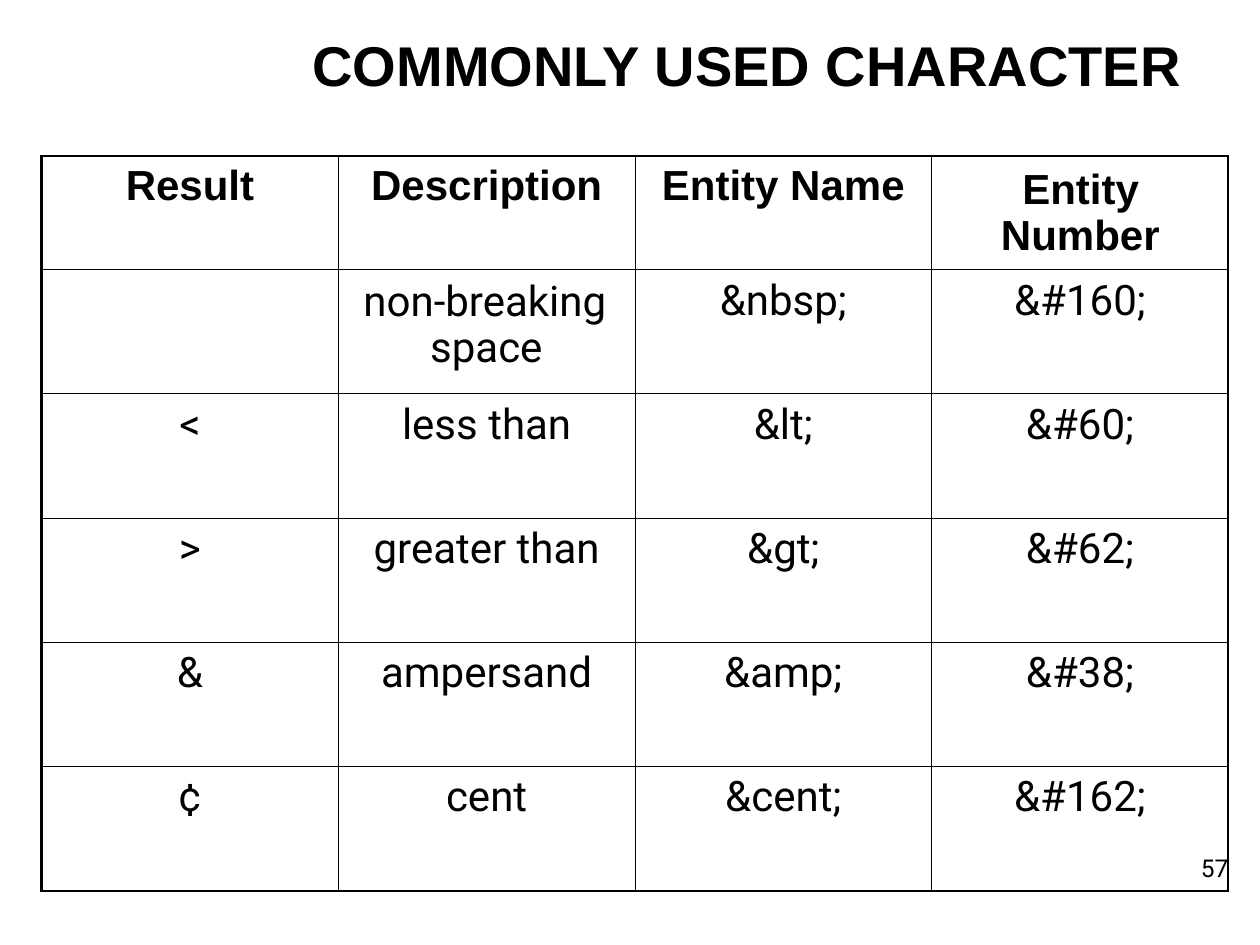
from dataclasses import dataclass

from lxml.etree import SubElement
from pptx import Presentation
from pptx.dml.color import RGBColor
from pptx.enum.text import MSO_ANCHOR as Anchor, MSO_AUTO_SIZE as AutoSize, PP_ALIGN as Align
from pptx.oxml.ns import qn
from pptx.util import Inches, Pt

INK = "000000"
SLIDE_COLUMNS, SLIDE_ROWS = 100, 75
HEADINGS = ("Result", "Description", "Entity Name", "Entity Number")


@dataclass(frozen=True)
class Entity:
    """One character with its HTML spellings."""
    result: str
    description: str
    name: str
    number: str


@dataclass(frozen=True)
class Wrap:
    """Indents, in grid units, that break a phrase over two lines."""
    left: float
    first: float


ENTITIES = (
    Entity("", "non-breaking space", "&nbsp;", "&#160;"),
    Entity("<", "less than", "&lt;", "&#60;"),
    Entity(">", "greater than", "&gt;", "&#62;"),
    Entity("&", "ampersand", "&amp;", "&#38;"),
    Entity("¢", "cent", "&cent;", "&#162;"),
)
WRAPS = {"Entity Number": Wrap(5.5, 1.7), "non-breaking space": Wrap(7.3, -5.3)}


def grid(units: float) -> int:
    """Turn grid units into a length."""
    return Inches(10 / SLIDE_COLUMNS * units)


def colour(value: str) -> RGBColor:
    """Turn a hex string into a colour."""
    return RGBColor.from_string(value)


def style(paragraph, face: str, size: float, before: float, align: Align, bold: bool = False) -> None:
    """Format a whole paragraph."""
    paragraph.alignment = align
    paragraph.space_before = Pt(before)
    font = paragraph.font
    font.name, font.size, font.bold = face, Pt(size), bold
    font.color.rgb = colour(INK)


def set_indent(paragraph, wrap: Wrap) -> None:
    """Set the left and first-line indents of a paragraph."""
    properties = paragraph._p.get_or_add_pPr()
    properties.set("marL", str(grid(wrap.left)))
    properties.set("indent", str(grid(wrap.first)))


def add_borders(cell, widths: dict[str, float]) -> None:
    """Draw the four sides of a cell ahead of its fill."""
    properties = cell._tc.get_or_add_tcPr()
    for position, (side, width) in enumerate(widths.items()):
        line = SubElement(properties, qn(f"a:ln{side}"), w=str(Pt(width)))
        solid = SubElement(line, qn("a:solidFill"))
        SubElement(solid, qn("a:srgbClr"), val=INK)
        properties.insert(position, line)


def fill_cell(cell, text: str, heading: bool) -> None:
    """Write and format one cell."""
    wrap = WRAPS.get(text)
    cell.fill.background()
    cell.margin_left = cell.margin_right = cell.margin_bottom = 0
    cell.margin_top = grid(0.8 if wrap else 0.5)
    cell.vertical_anchor = Anchor.TOP
    cell.text = text
    paragraph = cell.text_frame.paragraphs[0]
    style(paragraph, "Arial" if heading else "Roboto", 24, 5.9 if wrap else 3.3,
          Align.LEFT if wrap else Align.CENTER, heading)
    if wrap:
        paragraph.line_spacing = Pt(26.7)
        set_indent(paragraph, wrap)


def add_entity_table(slide) -> None:
    """Add the table of entities with the page number in its last cell."""
    contents = [HEADINGS] + [(e.result, e.description, e.name, e.number) for e in ENTITIES]
    last_row, last_column = len(ENTITIES), len(HEADINGS) - 1
    width, height, heading_height = 94.2, 58.3, 9
    table = slide.shapes.add_table(len(contents), len(HEADINGS), grid(3.3), grid(12.4),
                                   grid(width), grid(height)).table
    table.horz_banding = table.first_row = False
    for column in table.columns:
        column.width = grid(width / len(HEADINGS))
    for r, texts in enumerate(contents):
        table.rows[r].height = grid((height - heading_height) / last_row if r else heading_height)
        for c, text in enumerate(texts):
            cell = table.cell(r, c)
            fill_cell(cell, text, r == 0)
            edges = {"L": c == 0, "R": c == last_column, "T": r == 0, "B": r == last_row}
            add_borders(cell, {side: 1.5 if outer else 0.5 for side, outer in edges.items()})
    page_number = table.cell(last_row, last_column).text_frame.add_paragraph()
    page_number.text = "57"
    style(page_number, "Roboto", 14, 18.6, Align.RIGHT)


def set_title(slide, text: str) -> None:
    """Place and format the slide title."""
    title = slide.shapes.title
    title.left, title.top, title.width, title.height = map(grid, (24.7, 2.3, 69.8, 5.6))
    frame = title.text_frame
    frame.text = text
    frame.margin_left = frame.margin_right = frame.margin_bottom = 0
    frame.margin_top = grid(0.1)
    frame.vertical_anchor = Anchor.TOP
    frame.auto_size = AutoSize.SHAPE_TO_FIT_TEXT
    heading = frame.paragraphs[0]
    style(heading, "Arial", 32, 1, Align.LEFT, True)
    set_indent(heading, Wrap(0.1, 0))


def main() -> None:
    """Build and save the slide."""
    deck = Presentation()
    deck.slide_width, deck.slide_height = grid(SLIDE_COLUMNS), grid(SLIDE_ROWS)
    slide = deck.slides.add_slide(deck.slide_layouts[5])
    set_title(slide, "COMMONLY USED CHARACTER")
    add_entity_table(slide)
    deck.save("out.pptx")


if __name__ == "__main__":
    main()
